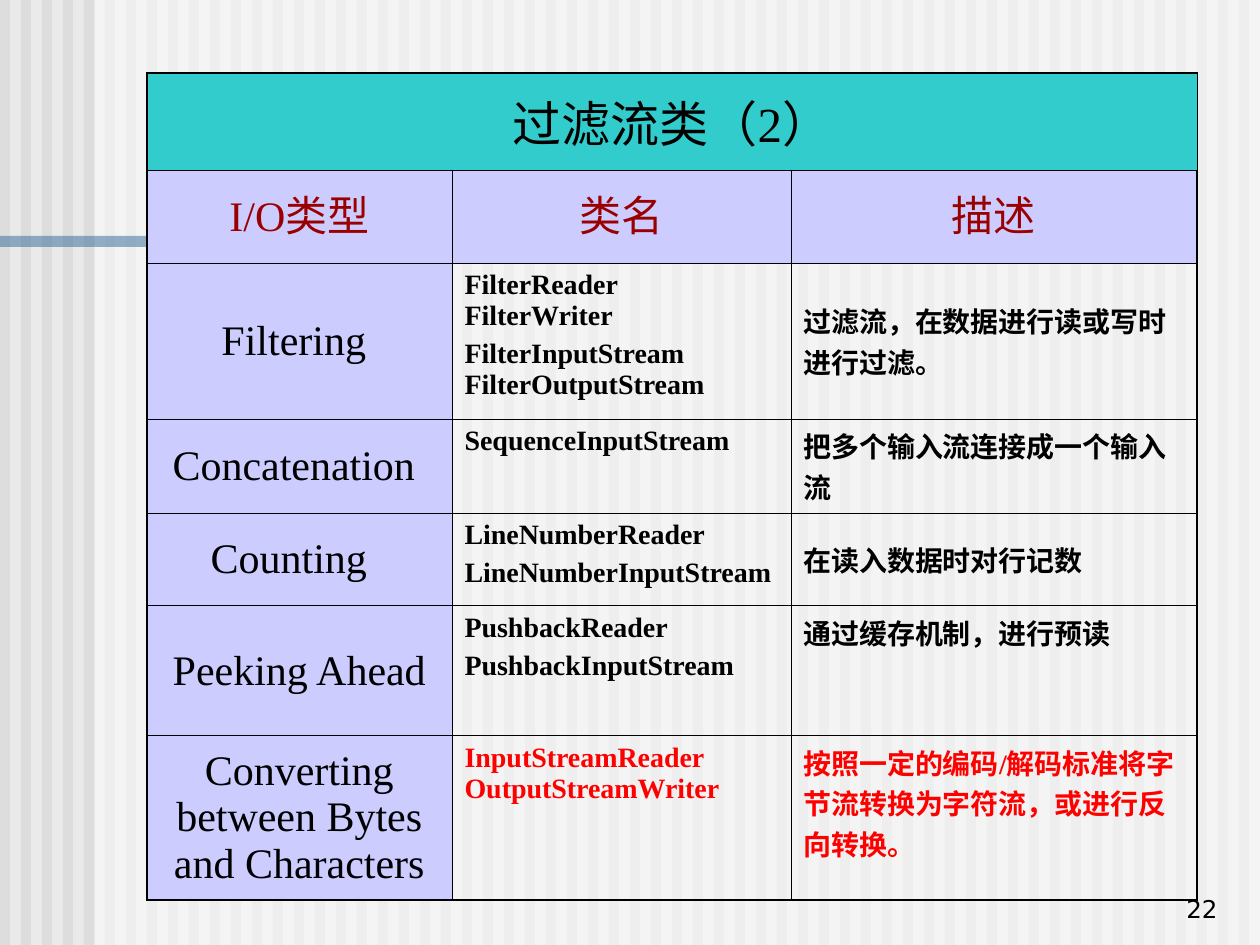
from dataclasses import dataclass

from lxml.etree import SubElement
from pptx import Presentation
from pptx.dml.color import RGBColor
from pptx.enum.shapes import MSO_SHAPE as SHAPE
from pptx.enum.text import MSO_ANCHOR as ANCHOR, PP_ALIGN as ALIGN
from pptx.oxml.ns import qn
from pptx.util import Pt


@dataclass(frozen=True)
class Theme:
    background: str = "EAEAEA"
    stripe: str = "DDDDDD"
    veil: str = "FFFFFF"
    bar: str = "336699"
    title_fill: str = "33CCCC"
    label_fill: str = "CCCCFF"
    heading: str = "9A0000"
    ink: str = "000000"
    accent: str = "FF0000"
    serif: str = "Times New Roman"
    sans: str = "DejaVu Sans"
    title_size: int = 28
    label_size: int = 24
    body_size: int = 16
    number_size: int = 14
    outer_line: float = 1.08
    inner_line: float = 0.45


T = Theme()
TITLE = "过滤流类（2）"
HEADINGS = ["I/O类型", "类名", "描述"]
STREAMS = [
    ("Filtering", 11, ["FilterReader\vFilterWriter", "FilterInputStream\vFilterOutputStream"],
     "过滤流，在数据进行读或写时进行过滤。", ANCHOR.MIDDLE, T.ink),
    ("Concatenation", 11, ["SequenceInputStream"],
     "把多个输入流连接成一个输入流", ANCHOR.MIDDLE, T.ink),
    ("Counting", 21, ["LineNumberReader", "LineNumberInputStream"],
     "在读入数据时对行记数", ANCHOR.MIDDLE, T.ink),
    ("Peeking Ahead", 0, ["PushbackReader", "PushbackInputStream"],
     "通过缓存机制，进行预读", ANCHOR.TOP, T.ink),
    ("Converting between Bytes and Characters", 0, ["InputStreamReader\vOutputStreamWriter"],
     "按照一定的编码/解码标准将字节流转换为字符流，或进行反向转换。", ANCHOR.TOP, T.accent),
]
COLUMNS = [305, 339, 406]
ROWS = [97, 93, 156, 94, 93, 130, 164]


def px(n):
    return round(n * 914400 / 126)


def rgb(value):
    return RGBColor.from_string(value)


def add_rect(slide, x, y, w, h, color, alpha=None):
    s = slide.shapes.add_shape(SHAPE.RECTANGLE, px(x), px(y), px(w), px(h))
    s.shadow.inherit = False
    s.line.fill.background()
    s.fill.solid()
    s.fill.fore_color.rgb = rgb(color)
    if alpha is not None:
        clr = s.fill._xPr.find(qn("a:solidFill"))[0]
        SubElement(clr, qn("a:alpha"), val=str(alpha * 1000))


def write(tf, paragraphs, size, color, align=ALIGN.LEFT, font=T.serif, bold=False,
          before=0, spacing=None):
    tf.word_wrap = True
    for i, text in enumerate(paragraphs):
        p = tf.paragraphs[0] if i == 0 else tf.add_paragraph()
        p.text = text
        p.alignment = align
        p.space_before = Pt(before)
        if spacing:
            p.line_spacing = spacing
        p.font.name = font
        p.font.size = Pt(size)
        p.font.bold = bold
        p.font.color.rgb = rgb(color)


def set_borders(cell, row, col):
    edges = {"L": col == 0, "R": col == len(COLUMNS) - 1,
             "T": row == 0, "B": row == len(ROWS) - 1}
    tcPr = cell._tc.get_or_add_tcPr()
    for side, outer in edges.items():
        width = Pt(T.outer_line if outer else T.inner_line)
        ln = SubElement(tcPr, qn("a:ln" + side), w=str(width))
        SubElement(SubElement(ln, qn("a:solidFill")), qn("a:srgbClr"), val=T.ink)


def fill_cell(cell, paragraphs, size, color, fill=None, anchor=ANCHOR.MIDDLE, **style):
    if fill:
        cell.fill.solid()
        cell.fill.fore_color.rgb = rgb(fill)
    else:
        cell.fill.background()
    cell.vertical_anchor = anchor
    write(cell.text_frame, paragraphs, size, color, **style)


def add_backdrop(slide):
    slide.background.fill.solid()
    slide.background.fill.fore_color.rgb = rgb(T.background)
    for i in range(60):
        add_rect(slide, 21 * i, 0, 10, 945, T.stripe)
    add_rect(slide, 95, 0, 1165, 945, T.veil, alpha=50)
    add_rect(slide, 0, 236, 958, 11, T.bar, alpha=50)


def add_stream_table(slide):
    frame = slide.shapes.add_table(len(ROWS), len(COLUMNS), px(147), px(73),
                                   px(sum(COLUMNS)), px(sum(ROWS)))
    table = frame.table
    table.first_row = table.horz_banding = False
    for column, width in zip(table.columns, COLUMNS):
        column.width = px(width)
    for r, height in enumerate(ROWS):
        table.rows[r].height = px(height)
        for c in range(len(COLUMNS)):
            set_borders(table.cell(r, c), r, c)

    table.cell(0, 0).merge(table.cell(0, len(COLUMNS) - 1))
    fill_cell(table.cell(0, 0), [TITLE], T.title_size, T.ink, T.title_fill,
              align=ALIGN.CENTER, before=7)
    for c, heading in enumerate(HEADINGS):
        fill_cell(table.cell(1, c), [heading], T.label_size, T.heading, T.label_fill,
                  align=ALIGN.CENTER, before=6, spacing=0.8)
    for r, (label, inset, classes, note, anchor, color) in enumerate(STREAMS, 2):
        fill_cell(table.cell(r, 0), [label], T.label_size, T.ink, T.label_fill,
                  align=ALIGN.CENTER, before=6)
        table.cell(r, 0).margin_right = px(13 + inset)
        fill_cell(table.cell(r, 1), classes, T.body_size, color, anchor=ANCHOR.TOP,
                  bold=True, before=4)
        fill_cell(table.cell(r, 2), [note], T.body_size, color, anchor=anchor,
                  bold=True, before=4)


def add_page_number(slide, number):
    tf = slide.shapes.add_textbox(px(968), px(867), px(262), px(63)).text_frame
    tf.vertical_anchor = ANCHOR.BOTTOM
    write(tf, [number], T.number_size, T.ink, align=ALIGN.RIGHT, font=T.sans)


def main():
    prs = Presentation()
    prs.slide_width, prs.slide_height = px(1260), px(945)
    slide = prs.slides.add_slide(prs.slide_layouts[6])
    add_backdrop(slide)
    add_stream_table(slide)
    add_page_number(slide, "22")
    prs.save("out.pptx")


if __name__ == "__main__":
    main()
